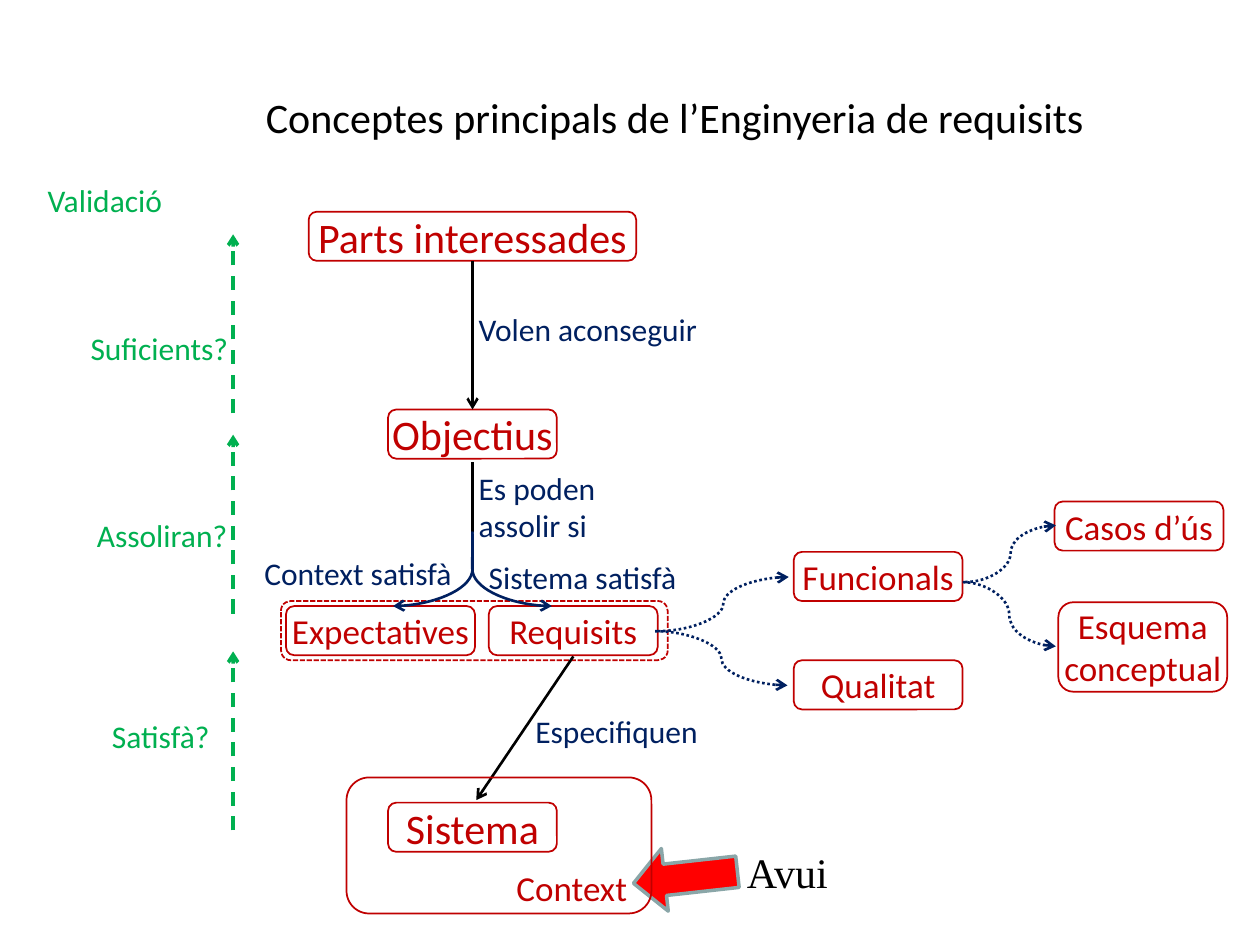
from dataclasses import dataclass
from typing import Optional

from lxml import etree
from pptx import Presentation
from pptx.dml.color import RGBColor
from pptx.enum.dml import MSO_LINE
from pptx.enum.shapes import MSO_CONNECTOR, MSO_SHAPE
from pptx.enum.text import MSO_ANCHOR, MSO_AUTO_SIZE, PP_ALIGN
from pptx.oxml.ns import qn
from pptx.util import Inches, Pt

BLACK = RGBColor(0x00, 0x00, 0x00)
DARK_RED = RGBColor(0xC0, 0x00, 0x00)
NAVY = RGBColor(0x00, 0x20, 0x60)
GREEN = RGBColor(0x00, 0xB0, 0x50)
RED = RGBColor(0xFF, 0x00, 0x00)
GREY = RGBColor(0x8A, 0xA6, 0xA8)

STRAIGHT, CURVE = MSO_CONNECTOR.STRAIGHT, MSO_CONNECTOR.CURVE
DASH, DOTS, SHORT_DASH = MSO_LINE.DASH, MSO_LINE.ROUND_DOT, MSO_LINE.SQUARE_DOT
ROUNDED, DOWN_ARROW = MSO_SHAPE.ROUNDED_RECTANGLE, MSO_SHAPE.DOWN_ARROW
LEFT, CENTER = PP_ALIGN.LEFT, PP_ALIGN.CENTER
TOP, MIDDLE = MSO_ANCHOR.TOP, MSO_ANCHOR.MIDDLE
NO_AUTOFIT = MSO_AUTO_SIZE.NONE

MAIN_X = 3.75
VALIDATION_X = 1.85
BOX_WIDTH, BOX_HEIGHT = 1.34, 0.39


@dataclass
class Box:
    text: str
    left: float
    top: float
    width: float = BOX_WIDTH
    height: float = BOX_HEIGHT
    size: int = 20
    dash: Optional[MSO_LINE] = None


@dataclass
class Label:
    text: str
    left: float
    top: float
    width: float
    height: float = 0.4
    color: RGBColor = NAVY
    size: int = 18
    font: str = "Calibri"


@dataclass
class Link:
    start: tuple[float, float]
    end: tuple[float, float]
    color: RGBColor = BLACK
    width: float = 1.5
    kind: MSO_CONNECTOR = STRAIGHT
    dash: Optional[MSO_LINE] = None
    arrow: bool = True
    bend: Optional[int] = None


def write_text(text_frame, text: str, size: int, color: RGBColor,
               alignment=LEFT, anchor=TOP, font: str = "Calibri") -> None:
    text_frame.text = text
    text_frame.word_wrap = False
    text_frame.auto_size = NO_AUTOFIT
    text_frame.vertical_anchor = anchor
    for paragraph in text_frame.paragraphs:
        paragraph.alignment = alignment
        for run in paragraph.runs:
            run.font.size = Pt(size)
            run.font.name = font
            run.font.color.rgb = color


def place(slide, kind, left: float, top: float, width: float, height: float):
    shape = slide.shapes.add_shape(
        kind, Inches(left), Inches(top), Inches(width), Inches(height))
    shape.shadow.inherit = False
    return shape


def draw_box(slide, box: Box) -> None:
    shape = place(slide, ROUNDED, box.left, box.top, box.width, box.height)
    shape.fill.background()
    shape.line.color.rgb = DARK_RED
    shape.line.width = Pt(1)
    if box.dash:
        shape.line.dash_style = box.dash
    if box.text:
        text_frame = shape.text_frame
        text_frame.margin_left = text_frame.margin_right = 0
        text_frame.margin_top = text_frame.margin_bottom = 0
        write_text(text_frame, box.text, box.size, DARK_RED, CENTER, MIDDLE)


def draw_label(slide, label: Label) -> None:
    shape = slide.shapes.add_textbox(
        Inches(label.left), Inches(label.top), Inches(label.width), Inches(label.height))
    write_text(shape.text_frame, label.text, label.size, label.color, font=label.font)


def draw_link(slide, link: Link) -> None:
    points = [Inches(value) for value in (*link.start, *link.end)]
    connector = slide.shapes.add_connector(link.kind, *points)
    connector.line.color.rgb = link.color
    connector.line.width = Pt(link.width)
    if link.dash:
        connector.line.dash_style = link.dash
    properties = connector.element.spPr
    if link.arrow:
        etree.SubElement(properties.find(qn("a:ln")), qn("a:tailEnd"), type="arrow")
    if link.bend is not None:
        adjustments = properties.find(qn("a:prstGeom")).find(qn("a:avLst"))
        etree.SubElement(adjustments, qn("a:gd"), name="adj1", fmla=f"val {link.bend}")
    etree.SubElement(properties, qn("a:effectLst"))


BOXES = [
    Box("Objectius", 3.08, 3.25, size=24),
    Box("Parts interessades", 2.45, 1.68, width=2.6, size=24),
    Box("Sistema", 3.08, 6.37, size=24),
    Box("Funcionals", 6.3, 4.38),
    Box("Qualitat", 6.3, 5.24),
    Box("Casos d’ús", 8.37, 3.98),
    Box("Esquema\nconceptual", 8.4, 4.78, height=0.71),
    Box("Expectatives", 2.27, 4.81, width=1.5),
    Box("Requisits", 3.88, 4.81),
    Box("", 2.23, 4.77, 3.07, 0.47, dash=SHORT_DASH),
]

LABELS = [
    Label("Volen aconseguir", 3.7, 2.41, 1.96),
    Label("Especifiquen", 4.15, 5.6, 1.51),
    Label("Es poden\nassolir si", 3.7, 3.67, 1.2, 0.71),
    Label("Context satisfà", 2, 4.35, 1.7),
    Label("Sistema satisfà", 3.78, 4.38, 1.71),
    Label("Validació", 0.28, 1.39, 1.12, color=GREEN),
    Label("Suficients?", 0.62, 2.56, 1.31, color=GREEN),
    Label("Assoliran?", 0.67, 4.05, 1.25, color=GREEN),
    Label("Satisfà?", 0.79, 5.64, 0.98, color=GREEN),
    Label("Avui", 5.83, 6.67, 0.95, 0.5, BLACK, 24, "Times New Roman"),
    Label("Context", 4, 6.83, 1.09, 0.44, DARK_RED, 20),
]

# Main flow, from the stakeholders down to the system
LINKS = [
    Link((MAIN_X, 2.07), (MAIN_X, 3.25)),
    Link((4.55, 5.21), (3.78, 6.35)),
    Link((MAIN_X, 3.67), (MAIN_X, 4.22), arrow=False),
]
# Fork to expectations and requirements
LINKS += [Link((MAIN_X, 4.22), (MAIN_X + offset, 4.81), NAVY, kind=CURVE, bend=-200)
          for offset in (-0.63, 0.63)]
# Dotted branches to the kinds of requirements
LINKS += [Link(start, end, NAVY, kind=CURVE, dash=DOTS) for start, end in (
    ((5.22, 5.01), (6.26, 4.58)),
    ((5.2, 5.01), (6.25, 5.44)),
    ((7.66, 4.62), (8.38, 4.17)),
    ((7.64, 4.62), (8.38, 5.13)),
)]
# Validation arrows
LINKS += [Link((VALIDATION_X, bottom), (VALIDATION_X, bottom - 1.42), GREEN, 2, dash=DASH)
          for bottom in (3.28, 4.87, 6.59)]

presentation = Presentation()
presentation.slide_width, presentation.slide_height = Inches(10), Inches(7.5)
slide = presentation.slides.add_slide(presentation.slide_layouts[5])

# Title
title = slide.shapes.title
title.left, title.top = Inches(2.01), Inches(0.68)
title.width, title.height = Inches(6.76), Inches(0.5)
write_text(title.text_frame, "Conceptes principals de l’Enginyeria de requisits", 24, BLACK)

# Diagram
for box in BOXES:
    draw_box(slide, box)
for link in LINKS:
    draw_link(slide, link)

# Marker for today's topic
today_arrow = place(slide, DOWN_ARROW, 5.19, 6.55, 0.5, 0.83)
today_arrow.rotation = 83.7
today_arrow.fill.solid()
today_arrow.fill.fore_color.rgb = RED
today_arrow.line.color.rgb = GREY
today_arrow.line.width = Pt(2)

for label in LABELS:
    draw_label(slide, label)

# Context around the system
draw_box(slide, Box("", 2.75, 6.17, 2.42, 1.08))

presentation.save("out.pptx")
